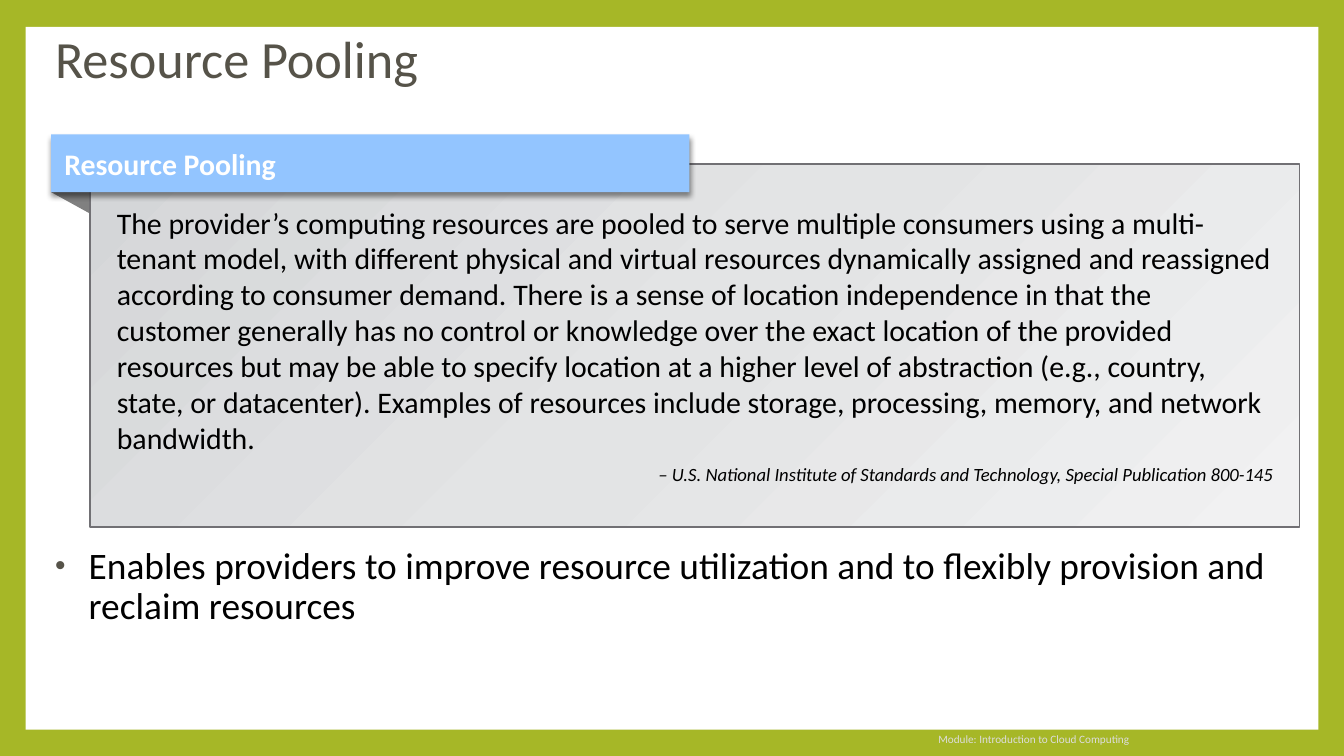
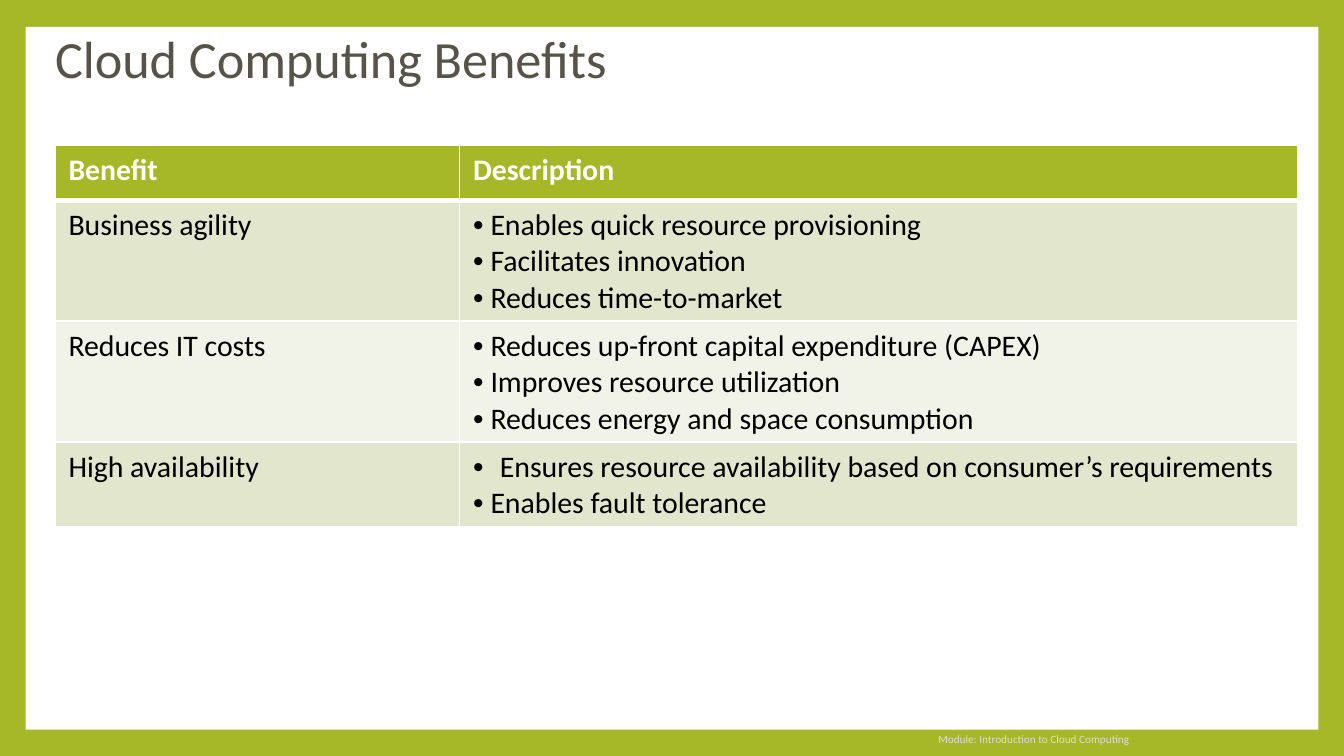
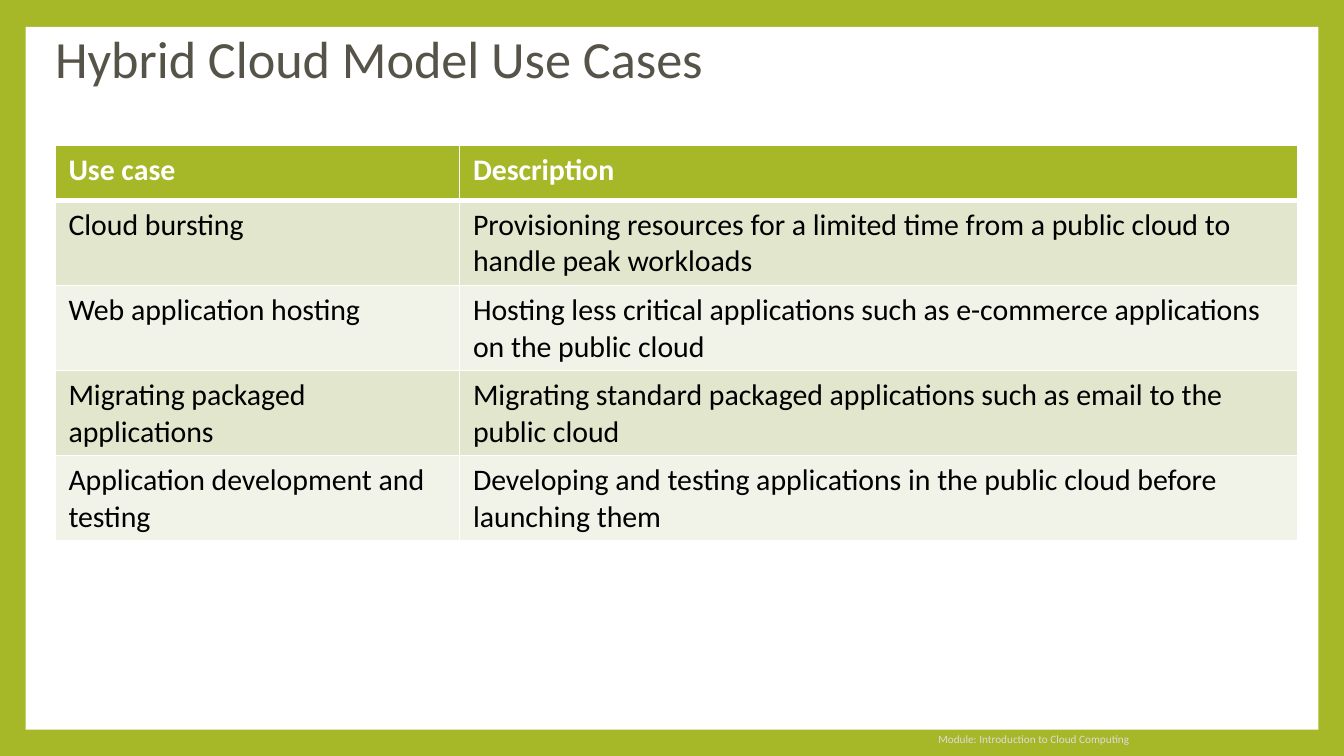
import copy
from dataclasses import dataclass
from typing import NamedTuple

import pptx
import pptx.dml.color
import pptx.enum.shapes
import pptx.enum.text
import pptx.oxml
import pptx.oxml.ns
import pptx.slide
import pptx.util
from pptx.util import Inches

GREEN = "A6B727"
WHITE = "FFFFFF"
BLACK = "000000"
STONE = "565349"
BANDS = ("E1E6CD", "F1F3E8")
FACE = "Calibri"
SPACE = 'xmlns:a="http://schemas.openxmlformats.org/drawingml/2006/main"'
RECT = pptx.enum.shapes.MSO_SHAPE.RECTANGLE
MIDDLE = pptx.enum.text.MSO_ANCHOR.MIDDLE
LEFT = pptx.enum.text.PP_ALIGN.LEFT
RIGHT = pptx.enum.text.PP_ALIGN.RIGHT


class Area(NamedTuple):
    left: float
    top: float
    width: float
    height: float


class Type(NamedTuple):
    size: float
    color: str = BLACK
    bold: bool = False
    slant: bool = False


class Point(NamedTuple):
    text: str
    indent: float = 0.13


@dataclass
class Row:
    label: str
    points: list[Point]


@dataclass
class Grid:
    title: str
    heads: tuple[str, str]
    height: float
    rows: list[Row]


PANEL = Area(0.19, 0.2, 9.62, 5.23)
TITLE = Area(0.41, 0.25, 9.25, 0.5)
BODY = Area(0.41, 4.07, 9.25, 0.76)
FOOT = Area(2.83, 5.42, 5.67, 0.15)
QUOTE = Area(0.67, 1.22, 9, 2.7)
LABEL = Area(0.38, 1, 4.75, 0.43)
WIDTHS = (3.01, 6.24)
TALL = 0.41

GRIDS = [
    Grid("Cloud Computing Benefits", ("Benefit", "Description"), 3.11, [
        Row("Business agility", [
            Point("Enables quick resource provisioning"),
            Point("Facilitates innovation"),
            Point("Reduces time-to-market"),
        ]),
        Row("Reduces IT costs", [
            Point("Reduces up-front capital expenditure (CAPEX)"),
            Point("Improves resource utilization"),
            Point("Reduces energy and space consumption"),
        ]),
        Row("High availability", [
            Point("Ensures resource availability based on consumer’s requirements", 0.2),
            Point("Enables fault tolerance"),
        ]),
    ]),
    Grid("Hybrid Cloud Model Use Cases", ("Use case", "Description"), 2.94, [
        Row("Cloud bursting", [Point(
            "Provisioning resources for a limited time from a public cloud to handle peak workloads", 0)]),
        Row("Web application hosting", [Point(
            "Hosting less critical applications such as e-commerce applications on the public cloud", 0)]),
        Row("Migrating packaged applications", [Point(
            "Migrating standard packaged applications such as email to the public cloud", 0)]),
        Row("Application development and testing", [Point(
            "Developing and testing applications in the public cloud before launching them", 0)]),
    ]),
]


def tint(code: str) -> pptx.dml.color.RGBColor:
    return pptx.dml.color.RGBColor.from_string(code)


def place(area: Area) -> list[int]:
    return [Inches(side) for side in area]


def node(text: str):
    return pptx.oxml.parse_xml(text)


def write(para, text: str, style: Type) -> None:
    para.text = text
    font = para.font
    font.name = FACE
    font.size = pptx.util.Pt(style.size)
    font.color.rgb = tint(style.color)
    font.bold = style.bold
    font.italic = style.slant


def bullet(para, indent: float, *looks: str) -> None:
    props = para._p.get_or_add_pPr()
    props.set("marL", str(Inches(indent)))
    props.set("indent", str(-Inches(indent)))
    for look in looks:
        props.append(node(look))
    props.append(node(f'<a:buFont {SPACE} typeface="Arial"/>'))
    props.append(node(f'<a:buChar {SPACE} char="•"/>'))


def inset(frame, left: float, top: float, right: float, base: float) -> None:
    frame.margin_left, frame.margin_top = Inches(left), Inches(top)
    frame.margin_right, frame.margin_bottom = Inches(right), Inches(base)


def text_box(slide: pptx.slide.Slide, area: Area):
    frame = slide.shapes.add_textbox(*place(area)).text_frame
    frame.word_wrap = True
    return frame


def paint(shape, fill: str) -> None:
    shape.shadow.inherit = False
    shape.fill.solid()
    shape.fill.fore_color.rgb = tint(fill)
    shape.line.fill.background()


def block(slide: pptx.slide.Slide, area: Area, fill: str):
    shape = slide.shapes.add_shape(RECT, *place(area))
    paint(shape, fill)
    shape.text_frame.word_wrap = True
    return shape


def start(deck, title: str) -> pptx.slide.Slide:
    slide = deck.slides.add_slide(deck.slide_layouts[6])
    block(slide, PANEL, WHITE)
    frame = text_box(slide, TITLE)
    inset(frame, 0, 0, 0, 0)
    para = frame.paragraphs[0]
    para.line_spacing = 0.9
    write(para, title, Type(28, STONE))
    return slide


def footer(slide: pptx.slide.Slide) -> None:
    frame = text_box(slide, FOOT)
    frame.vertical_anchor = MIDDLE
    para = frame.paragraphs[0]
    para.alignment = RIGHT
    write(para, "Module: Introduction to Cloud Computing", Type(6, "DDDDDD"))


def fold(slide: pptx.slide.Slide) -> None:
    base = LABEL.top + LABEL.height
    pen = slide.shapes.build_freeform(Inches(LABEL.left), Inches(base))
    pen.add_line_segments([(Inches(QUOTE.left), Inches(base)),
                           (Inches(QUOTE.left), Inches(base + 0.16))])
    paint(pen.convert_to_shape(), "808080")


def shade(shape, colors: tuple[str, ...], angle: float) -> None:
    shape.fill.gradient()
    shape.fill.gradient_angle = angle
    stops = shape._element.spPr.find(".//" + pptx.oxml.ns.qn("a:gsLst"))
    stops.append(copy.deepcopy(stops[0]))
    for rank, (stop, code) in enumerate(zip(shape.fill.gradient_stops, colors)):
        stop.color.rgb = tint(code)
        stop.position = rank / (len(colors) - 1)


def quote(slide: pptx.slide.Slide) -> None:
    shape = block(slide, QUOTE, WHITE)
    shade(shape, ("D4D6D8", "E3E4E5", "F1F1F2"), 315)
    shape.line.color.rgb = tint("717074")
    shape.line.width = pptx.util.Pt(1)
    frame = shape.text_frame
    frame.vertical_anchor = pptx.enum.text.MSO_ANCHOR.TOP
    inset(frame, 0.2, 0.3, 0.2, 0.05)
    para = frame.paragraphs[0]
    para.alignment = LEFT
    write(para, "The provider’s computing resources are pooled to serve multiple consumers "
          "using a multi-tenant model, with different physical and virtual resources "
          "dynamically assigned and reassigned according to consumer demand. There is a "
          "sense of location independence in that the customer generally has no control or "
          "knowledge over the exact location of the provided resources but may be able to "
          "specify location at a higher level of abstraction (e.g., country, state, or "
          "datacenter). Examples of resources include storage, processing, memory, and "
          "network bandwidth.", Type(16))
    para = frame.add_paragraph()
    para.alignment = RIGHT
    para.space_before = pptx.util.Pt(4)
    write(para, "– U.S. National Institute of Standards and Technology, "
          "Special Publication 800-145", Type(10, slant=True))


def label(slide: pptx.slide.Slide) -> None:
    shape = block(slide, LABEL, "93C5FF")
    glow = shape._element.spPr.find(pptx.oxml.ns.qn("a:effectLst"))
    glow.append(node(
        f'<a:outerShdw {SPACE} blurRad="{pptx.util.Pt(3)}" dist="{pptx.util.Pt(2)}" '
        f'dir="5400000" rotWithShape="0"><a:srgbClr val="{BLACK}">'
        '<a:alpha val="45000"/></a:srgbClr></a:outerShdw>'))
    frame = shape.text_frame
    frame.vertical_anchor = MIDDLE
    para = frame.paragraphs[0]
    para.alignment = LEFT
    write(para, "Resource Pooling", Type(16, WHITE, bold=True))


def pooling(deck) -> None:
    slide = start(deck, "Resource Pooling")
    frame = text_box(slide, BODY)
    inset(frame, 0, 0, 0, 0)
    para = frame.paragraphs[0]
    para.line_spacing = 0.9
    bullet(para, 0.25,
           f'<a:buClr {SPACE}><a:srgbClr val="{STONE}"/></a:buClr>',
           f'<a:buSzPct {SPACE} val="80000"/>')
    write(para, "Enables providers to improve resource utilization and to flexibly "
          "provision and reclaim resources", Type(20))
    footer(slide)
    fold(slide)
    quote(slide)
    label(slide)


def fill_cell(cell, points: list[Point], style: Type, fill: str,
              top: float = 1, base: float = 1) -> None:
    props = cell._tc.get_or_add_tcPr()
    for side, width in zip("LRTB", (1, 1, top, base)):
        props.append(node(
            f'<a:ln{side} {SPACE} w="{pptx.util.Pt(width)}"><a:solidFill>'
            f'<a:srgbClr val="{WHITE}"/></a:solidFill></a:ln{side}>'))
    cell.fill.solid()
    cell.fill.fore_color.rgb = tint(fill)
    frame = cell.text_frame
    for rank, point in enumerate(points):
        para = frame.add_paragraph() if rank else frame.paragraphs[0]
        if point.indent:
            bullet(para, point.indent)
        write(para, point.text, style)


def list_rows(deck, grid: Grid) -> None:
    slide = start(deck, grid.title)
    area = Area(0.41, 1.08, sum(WIDTHS), grid.height)
    shape = slide.shapes.add_table(len(grid.rows) + 1, len(WIDTHS), *place(area))
    table = shape.table
    for col, width in zip(table.columns, WIDTHS):
        col.width = Inches(width)
    for row in table.rows:
        row.height = Inches(TALL)
    shape.height = Inches(grid.height)
    for col, head in enumerate(grid.heads):
        fill_cell(table.cell(0, col), [Point(head, 0)], Type(16, WHITE, bold=True), GREEN, base=3)
    for rank, row in enumerate(grid.rows):
        for col, points in enumerate(([Point(row.label, 0)], row.points)):
            fill_cell(table.cell(rank + 1, col), points, Type(16), BANDS[rank % 2],
                      top=1 if rank else 3)
    footer(slide)


def main() -> None:
    deck = pptx.Presentation()
    deck.slide_width = Inches(10)
    deck.slide_height = deck.slide_width * 9 // 16
    back = deck.slide_master.background.fill
    back.solid()
    back.fore_color.rgb = tint(GREEN)
    pooling(deck)
    for grid in GRIDS:
        list_rows(deck, grid)
    deck.save("out.pptx")


if __name__ == "__main__":
    main()
